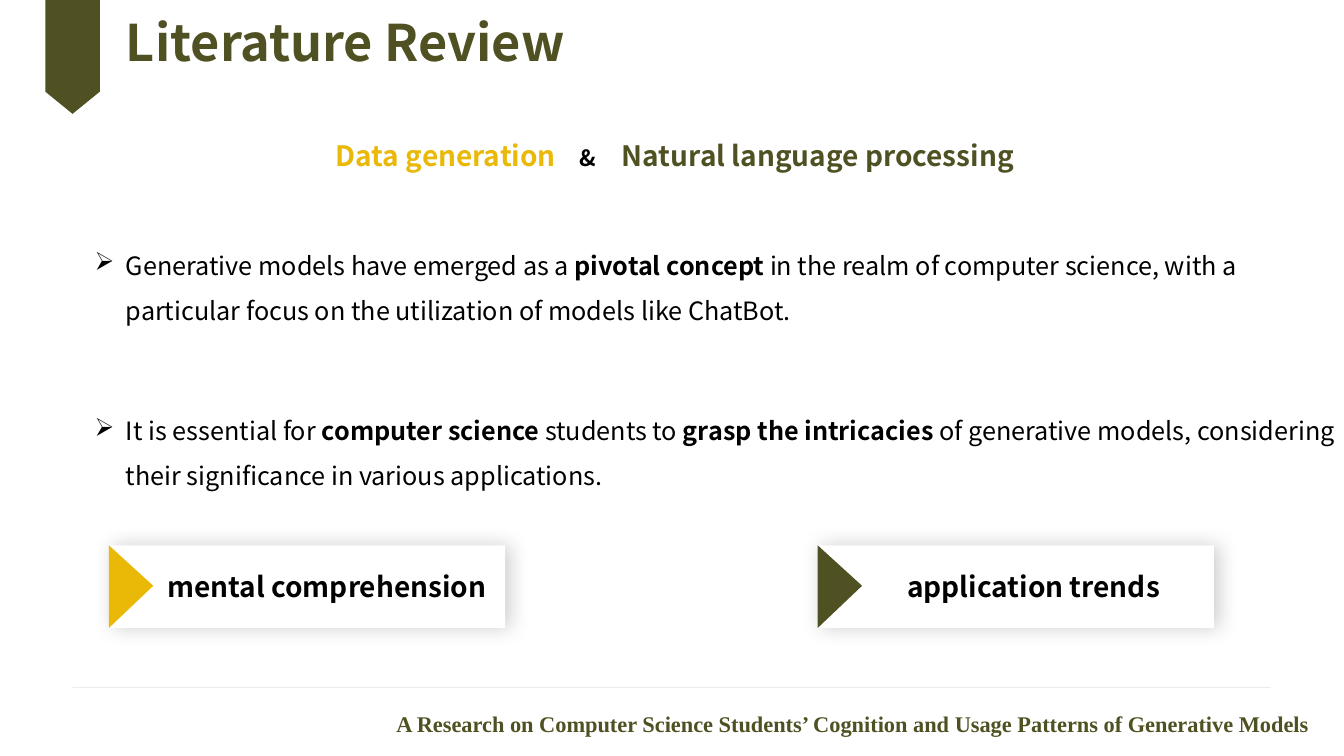
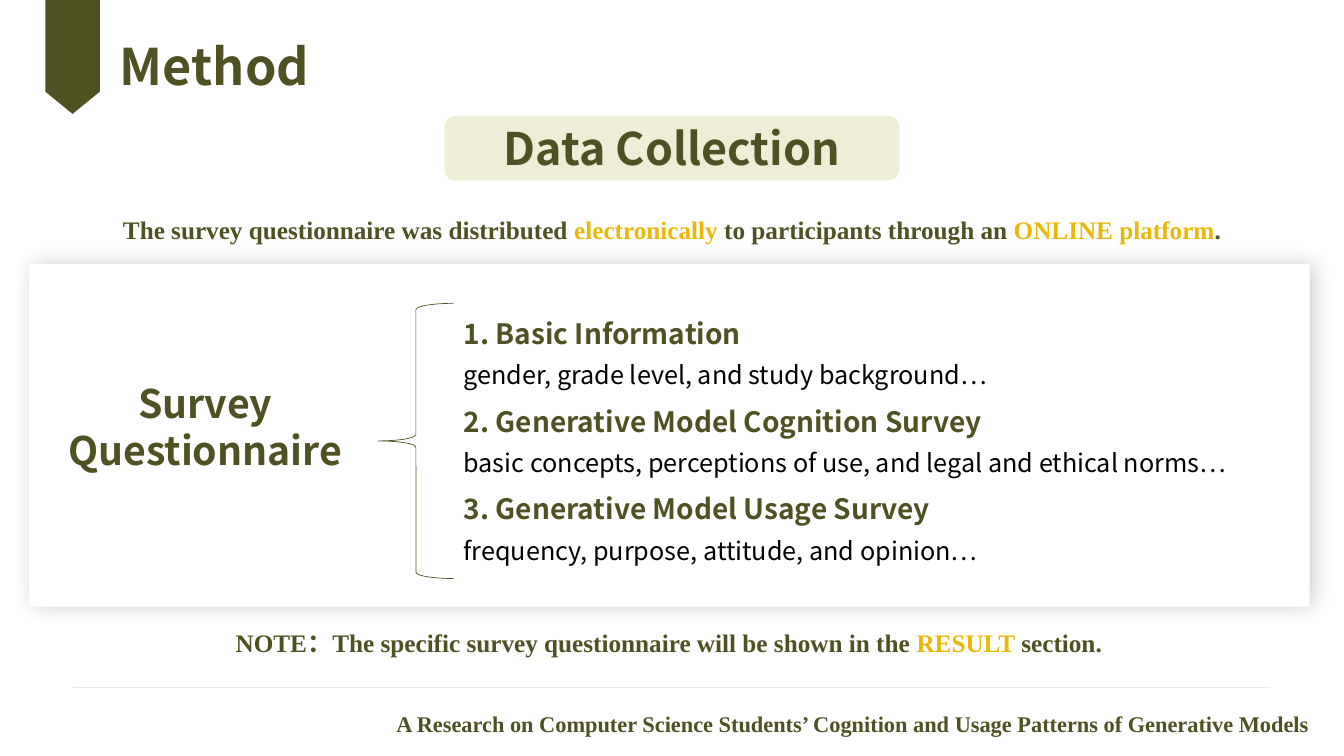
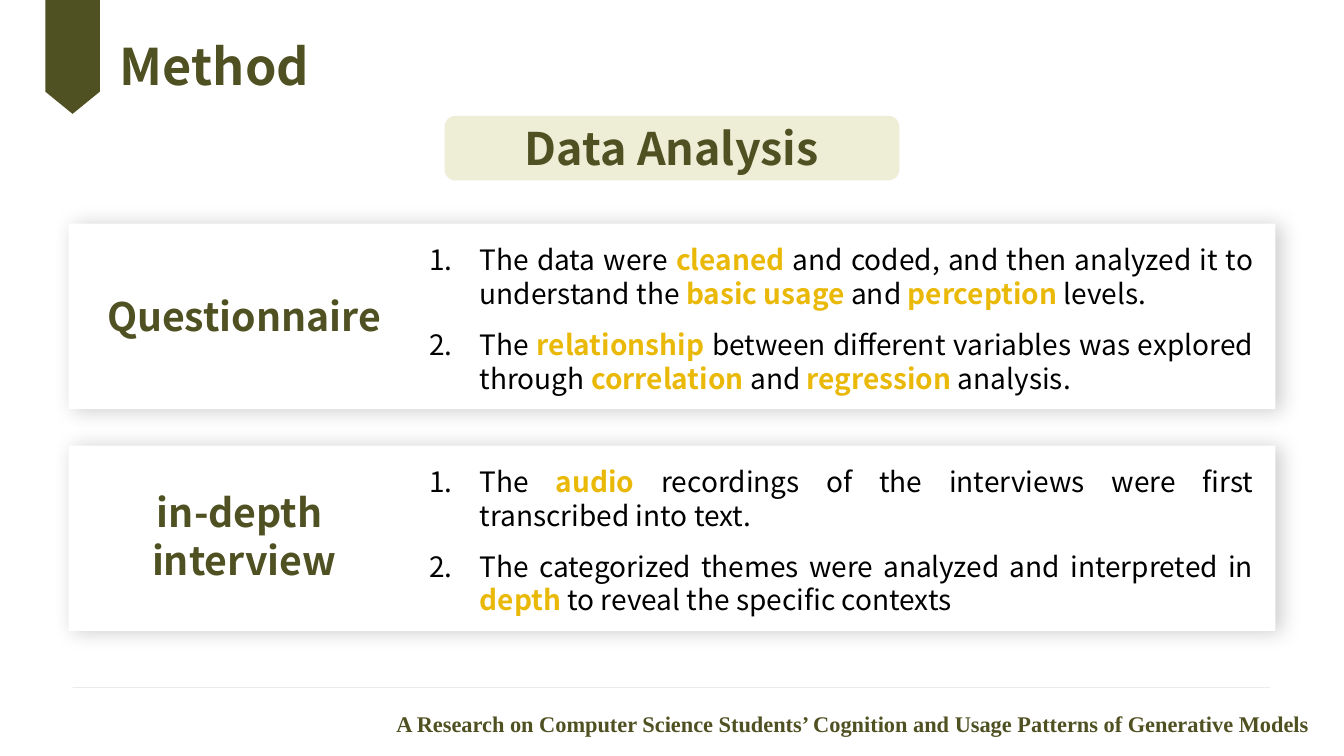
from lxml import etree
from pptx import Presentation
from pptx.dml.color import RGBColor
from pptx.enum import shapes, text
from pptx.oxml.ns import qn
from pptx.util import Inches, Pt

OLIVE = RGBColor(0x50, 0x51, 0x22)
GOLD = RGBColor(0xEA, 0xB9, 0x08)
PALE = RGBColor(0xE7, 0xE8, 0xC7)
GREY = RGBColor(0xBF, 0xBF, 0xBF)
BLACK = RGBColor(0, 0, 0)
WHITE = RGBColor(0xFF, 0xFF, 0xFF)
SANS, SERIF = "Noto Sans CJK SC", "Times New Roman"
LEFT, MID = text.PP_ALIGN.LEFT, text.PP_ALIGN.CENTER
RIGHT, JUST = text.PP_ALIGN.RIGHT, text.PP_ALIGN.JUSTIFY
KIND = shapes.MSO_SHAPE


def write(slide, area, paras, size, color=BLACK, bold=False, font=SANS, align=LEFT):
    """Add a text box; a run is plain text or a bold (text, colour[, size])."""
    box = slide.shapes.add_textbox(*map(Inches, area))
    frame = box.text_frame
    frame.word_wrap = True
    frame.auto_size = text.MSO_AUTO_SIZE.SHAPE_TO_FIT_TEXT
    for i, runs in enumerate(paras):
        para = frame.paragraphs[0] if i == 0 else frame.add_paragraph()
        para.alignment = align
        for item in runs:
            plain = isinstance(item, str)
            words, hue, *pt = (item, color) if plain else item
            run = para.add_run()
            run.text = words
            run.font.name = font
            run.font.size = Pt(pt[0] if pt else size)
            run.font.bold = bold or not plain
            run.font.color.rgb = hue
    return frame


def draw(slide, kind, area, fill, glow=False):
    """Add a borderless filled shape, with a soft shadow if glow is set."""
    shape = slide.shapes.add_shape(kind, *map(Inches, area))
    shape.shadow.inherit = False
    shape.fill.solid()
    shape.fill.fore_color.rgb = fill
    shape.line.fill.background()
    if glow:
        effects = shape._element.spPr.find(qn("a:effectLst"))
        outer = etree.SubElement(effects, qn("a:outerShdw"), blurRad=str(Pt(15)),
                                 dist=str(Pt(3)), dir="0", algn="ctr", rotWithShape="0")
        tint = etree.SubElement(outer, qn("a:srgbClr"), val="000000")
        etree.SubElement(tint, qn("a:alpha"), val="20000")
    return shape


deck = Presentation()
deck.slide_width, deck.slide_height = Inches(13.33), Inches(7.5)

# Shared parts: rule, ribbon, title, footer
pages = []
for title, left, top in [("Literature Review", 1.25, 0.02),
                         ("Method", 1.19, 0.26), ("Method", 1.19, 0.26)]:
    page = deck.slides.add_slide(deck.slide_layouts[6])
    pages.append(page)
    rule = page.shapes.add_connector(shapes.MSO_CONNECTOR.STRAIGHT, Inches(0.72),
                                     Inches(6.82), Inches(12.6), Inches(6.82))
    rule.line.color.rgb = GREY
    rule.line.width = Pt(0.25)
    props = rule._element.spPr
    etree.SubElement(props.find(".//" + qn("a:srgbClr")), qn("a:alpha"), val="47000")
    etree.SubElement(props, qn("a:effectLst"))

    edge = [(Inches(x), Inches(y)) for x, y in
            [(0.45, 0), (0.99, 0), (0.99, 0.91), (0.72, 1.13), (0.45, 0.91)]]
    maker = page.shapes.build_freeform(*edge[0])
    maker.add_line_segments(edge[1:], close=True)
    ribbon = maker.convert_to_shape()
    ribbon.shadow.inherit = False
    ribbon.fill.solid()
    ribbon.fill.fore_color.rgb = OLIVE
    ribbon.line.fill.background()

    head = write(page, (left, top, 8.93, 0.86), [[title]], 36, OLIVE, True)
    head.auto_size = text.MSO_AUTO_SIZE.NONE
    head.vertical_anchor = text.MSO_ANCHOR.MIDDLE
    head.margin_left = head.margin_right = head.margin_top = head.margin_bottom = 0
    head.paragraphs[0].line_spacing = 0.9
    write(page, (3.24, 7, 9.84, 0.37),
          [["A Research on Computer Science Students’ Cognition and Usage Patterns "
            "of Generative Models"]], 16, OLIVE, True, SERIF, RIGHT)
review, survey, study = pages

# Review: topic line with tab stops
topic = write(review, (3.23, 1.32, 8.55, 0.44),
              [[("Data generation", GOLD), ("\t&\t", BLACK, 16),
                ("Natural language processing", OLIVE)]], 20)
tabs = etree.SubElement(topic.paragraphs[0]._p.get_or_add_pPr(), qn("a:tabLst"))
for stop in (2.42, 2.84):
    etree.SubElement(tabs, qn("a:tab"), pos=str(Inches(stop)), algn="l")

# Review: bulleted statements
for top, width, runs in [
    (2.28, 12.24, ["Generative models have emerged as a ", ("pivotal concept", BLACK),
                   " in the realm of computer science, with a particular focus on "
                   "the utilization of models like ChatBot."]),
    (3.92, 12.85, ["It is essential for ", ("computer science", BLACK), " students to ",
                   ("grasp the intricacies", BLACK),
                   " of generative models, considering their significance in "
                   "various applications."]),
]:
    para = write(review, (0.84, top, width, 1.01), [runs], 18).paragraphs[0]
    para.line_spacing = 1.5
    props = para._p.get_or_add_pPr()
    props.set("marL", str(Inches(0.31)))
    props.set("indent", str(-Inches(0.31)))
    etree.SubElement(props, qn("a:buChar"), char="➢")

# Review: two labelled cards
for left, shift, width, label, hue in [(1.08, 0.48, 3.45, "mental comprehension", GOLD),
                                       (8.11, 0.79, 2.76, "application trends", OLIVE)]:
    draw(review, KIND.RECTANGLE, (left, 5.41, 3.93, 0.82), WHITE, True)
    write(review, (left + shift, 5.6, width, 0.44), [[label]], 20, bold=True)
    arrow = draw(review, KIND.ISOSCELES_TRIANGLE, (left - 0.19, 5.6, 0.82, 0.44), hue)
    arrow.adjustments[0] = 0.49
    arrow.rotation = 90

# Method: section badges
for page, label in [(survey, "Data Collection"), (study, "Data Analysis")]:
    badge = draw(page, KIND.ROUNDED_RECTANGLE, (4.41, 1.15, 4.51, 0.64), PALE)
    tint = badge._element.spPr.find(".//" + qn("a:srgbClr"))
    etree.SubElement(tint, qn("a:alpha"), val="70000")
    write(page, (0, 1.15, 13.33, 0.64), [[label]], 32, OLIVE, True, align=MID)

# Survey: card, side label and brace
draw(survey, KIND.RECTANGLE, (0.29, 2.62, 12.7, 3.4), WHITE, True)
write(survey, (0.43, 3.71, 3.21, 1.04), [["Survey"], ["Questionnaire"]],
      28, OLIVE, True, align=MID)
brace = draw(survey, KIND.LEFT_BRACE, (3.75, 3.01, 0.75, 2.73), WHITE)
brace.fill.background()
brace.line.color.rgb = OLIVE
brace.line.width = Pt(0.5)

# Survey: lines above and below the card
for top, runs in [
    (2.08, ["The survey questionnaire was distributed ", ("electronically", GOLD),
            " to participants through an ", ("ONLINE platform", GOLD), "."]),
    (6.17, ["NOTE：The specific survey questionnaire will be shown in the ",
            ("RESULT", GOLD), " section. "]),
]:
    write(survey, (0, top, 13.33, 0.4), [runs], 18, OLIVE, True, SERIF, MID)

# Survey: three parts
for i, (name, note) in enumerate([
    ("1. Basic Information", "gender, grade level, and study background…"),
    ("2. Generative Model Cognition Survey",
     "basic concepts, perceptions of use, and legal and ethical norms…"),
    ("3. Generative Model Usage Survey", "frequency, purpose, attitude, and opinion…"),
]):
    top = 3.09 + 0.87 * i
    write(survey, (4.5, top, 8.41, 0.44), [[name]], 20, OLIVE, True)
    write(survey, (4.5, top + 0.43, 8.41, 0.4), [[note]], 18)

# Study: one card per source with numbered steps
for top, area, label, steps in [
    (2.22, (0.93, 2.85, 2.98, 0.57), [["Questionnaire"]], [
        ["The data were ", ("cleaned ", GOLD),
         "and coded, and then analyzed it to understand the ", ("basic usage ", GOLD),
         "and ", ("perception ", GOLD), "levels."],
        ["The ", ("relationship ", GOLD),
         "between different variables was explored through ", ("correlation ", GOLD),
         "and ", ("regression ", GOLD), "analysis."]]),
    (4.42, (1.13, 4.8, 2.58, 1.04), [["in-depth "], ["interview"]], [
        ["The ", ("audio ", GOLD),
         "recordings of the interviews were first transcribed into text."],
        ["The categorized themes were analyzed and interpreted in ", ("depth ", GOLD),
         "to reveal the specific contexts"]]),
]:
    draw(study, KIND.RECTANGLE, (0.68, top, 11.97, 1.84), WHITE, True)
    write(study, area, label, 28, OLIVE, True, align=MID)
    frame = write(study, (4.16, top + 0.14, 8.37, 1.62), steps, 20, align=JUST)
    frame.paragraphs[1].space_before = Pt(12.5)
    for para in frame.paragraphs:
        props = para._p.get_or_add_pPr()
        props.set("marL", str(Inches(0.5)))
        props.set("indent", str(-Inches(0.5)))
        etree.SubElement(props, qn("a:buAutoNum"), type="arabicPeriod")

deck.save("out.pptx")
